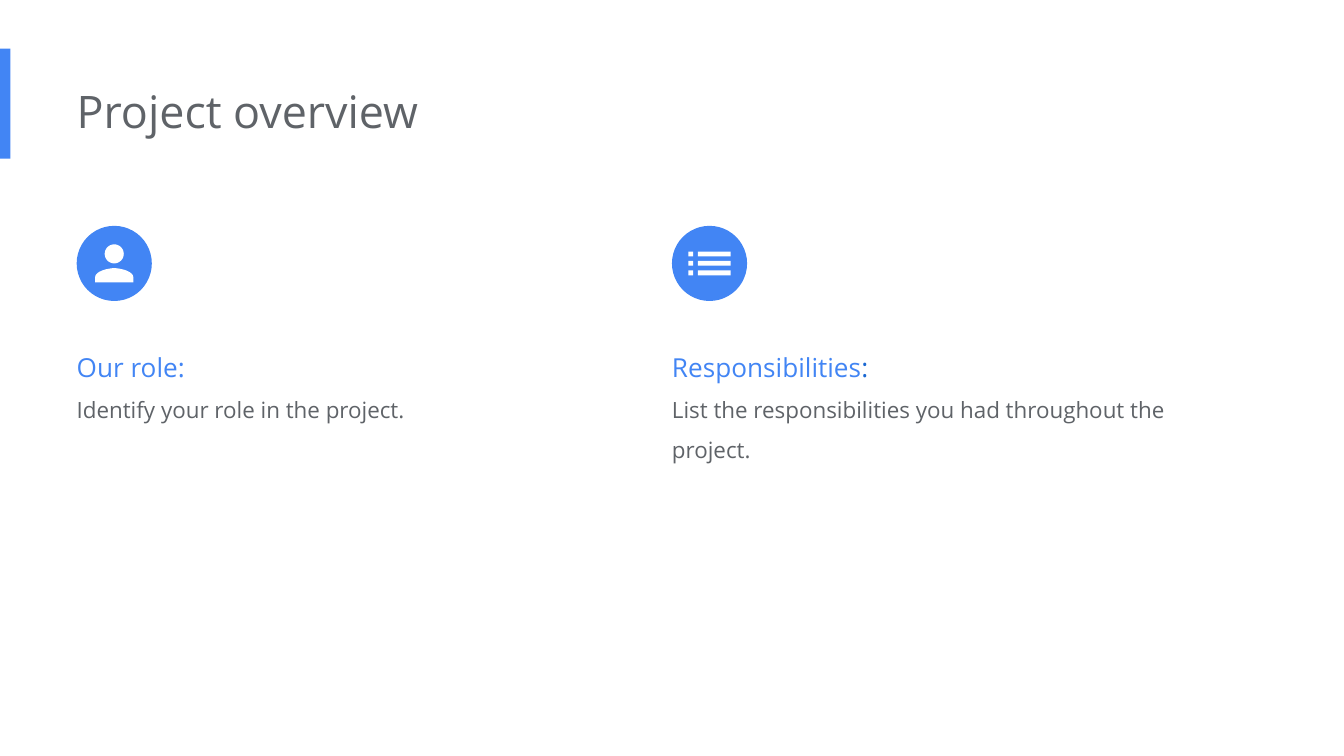
from dataclasses import dataclass
from math import cos, pi, sin

from pptx import Presentation
from pptx.dml.color import RGBColor
from pptx.enum.shapes import MSO_SHAPE
from pptx.enum.text import MSO_AUTO_SIZE
from pptx.util import Cm, Pt

BLUE = RGBColor(0x42, 0x85, 0xF4)
DARK_BLUE = RGBColor(0x19, 0x67, 0xD2)
GREY = RGBColor(0x5F, 0x63, 0x68)
WHITE = RGBColor(0xFF, 0xFF, 0xFF)
FONT = "Open Sans"

BADGE_TOP = 4.27
BADGE_SIZE = 1.42
BODY_TOP = 6.22

Point = tuple[float, float]
Outline = list[Point]


@dataclass(frozen=True)
class Piece:
    text: str
    size: float
    color: RGBColor


@dataclass(frozen=True)
class Topic:
    left: float
    height: float
    heading: list[Piece]
    detail: Piece
    icon: list[Outline]


def paint(shape, color: RGBColor) -> None:
    shape.shadow.inherit = False
    shape.fill.solid()
    shape.fill.fore_color.rgb = color
    shape.line.fill.background()


def draw_preset(slide, preset: MSO_SHAPE, left: float, top: float,
                width: float, height: float) -> None:
    paint(slide.shapes.add_shape(preset, Cm(left), Cm(top), Cm(width), Cm(height)), BLUE)


def draw_text(slide, left: float, top: float, width: float, height: float,
              lines: list[list[Piece]], spacing: float) -> None:
    box = slide.shapes.add_textbox(Cm(left), Cm(top), Cm(width), Cm(height))
    frame = box.text_frame
    frame.word_wrap = True
    frame.auto_size = MSO_AUTO_SIZE.SHAPE_TO_FIT_TEXT
    frame.margin_left = 0
    for index, pieces in enumerate(lines):
        paragraph = frame.add_paragraph() if index else frame.paragraphs[0]
        paragraph.line_spacing = spacing
        for piece in pieces:
            run = paragraph.add_run()
            run.text = piece.text
            run.font.name = FONT
            run.font.size = Pt(piece.size)
            run.font.color.rgb = piece.color


def draw_icon(slide, center_x: float, center_y: float, outlines: list[Outline]) -> None:
    placed = [[(Cm(center_x + x), Cm(center_y + y)) for x, y in outline]
              for outline in outlines]
    builder = slide.shapes.build_freeform(*placed[0][0])
    for index, (start, *rest) in enumerate(placed):
        if index:
            builder.move_to(*start)
        builder.add_line_segments(rest, close=True)
    paint(builder.convert_to_shape(), WHITE)


def curve(p0: Point, p1: Point, p2: Point, p3: Point, steps: int = 16) -> Outline:
    def at(t: float, axis: int) -> float:
        u = 1 - t
        return (u**3 * p0[axis] + 3 * u * u * t * p1[axis]
                + 3 * u * t * t * p2[axis] + t**3 * p3[axis])

    return [(at(i / steps, 0), at(i / steps, 1)) for i in range(steps + 1)]


def person_icon() -> list[Outline]:
    radius, steps = 0.18, 48
    head = [(radius * cos(2 * pi * i / steps), radius * sin(2 * pi * i / steps) - radius)
            for i in range(steps)]
    left_shoulder = curve((0, 0.09), (-0.12, 0.09), (-0.36, 0.15), (-0.36, 0.26))
    right_shoulder = [(-x, y) for x, y in reversed(left_shoulder)]
    torso = left_shoulder + [(-0.36, 0.36), (0.36, 0.36)] + right_shoulder[:-1]
    return [head, torso]


def list_icon() -> list[Outline]:
    thickness, pitch = 0.09, 0.18
    outlines = []
    for row in (-1, 0, 1):
        top = row * pitch - thickness / 2
        bottom = top + thickness
        for left, right in ((-0.4, -0.31), (-0.22, 0.4)):
            outlines.append([(left, top), (right, top), (right, bottom), (left, bottom)])
    return outlines


def draw_topic(slide, topic: Topic) -> None:
    draw_text(slide, topic.left, BODY_TOP, 9.58, topic.height,
              [topic.heading, [topic.detail]], 1.5)
    draw_preset(slide, MSO_SHAPE.OVAL, topic.left, BADGE_TOP, BADGE_SIZE, BADGE_SIZE)
    draw_icon(slide, topic.left + BADGE_SIZE / 2, BADGE_TOP + BADGE_SIZE / 2, topic.icon)


def main() -> None:
    presentation = Presentation()
    presentation.slide_width = Cm(25.4)
    presentation.slide_height = Cm(14.29)
    slide = presentation.slides.add_slide(presentation.slide_layouts[6])

    topics = [
        Topic(1.45, 2.18, [Piece("Our role:", 14, BLUE)],
              Piece("Identify your role in the project.", 12, GREY), person_icon()),
        Topic(12.7, 2.95,
              [Piece("Responsibilities", 14, BLUE), Piece(":", 14, DARK_BLUE)],
              Piece("List the responsibilities you had throughout the project.", 12, GREY),
              list_icon()),
    ]

    draw_preset(slide, MSO_SHAPE.RECTANGLE, 0, 0.92, 0.2, 2.08)
    draw_text(slide, 1.45, 1.45, 17.09, 1.55, [[Piece("Project overview", 24, GREY)]], 1.0)
    for topic in topics:
        draw_topic(slide, topic)

    presentation.save("out.pptx")


if __name__ == "__main__":
    main()
